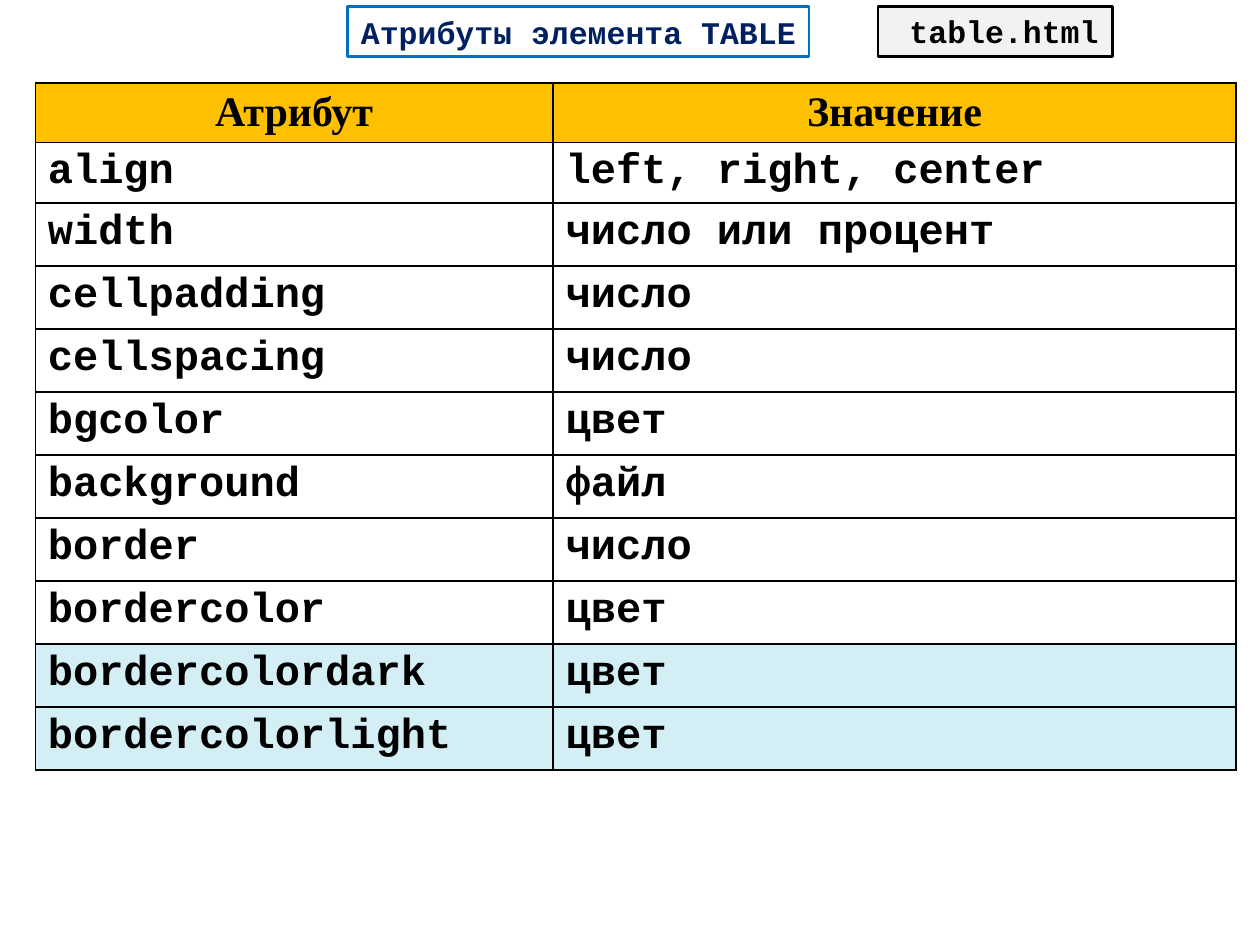
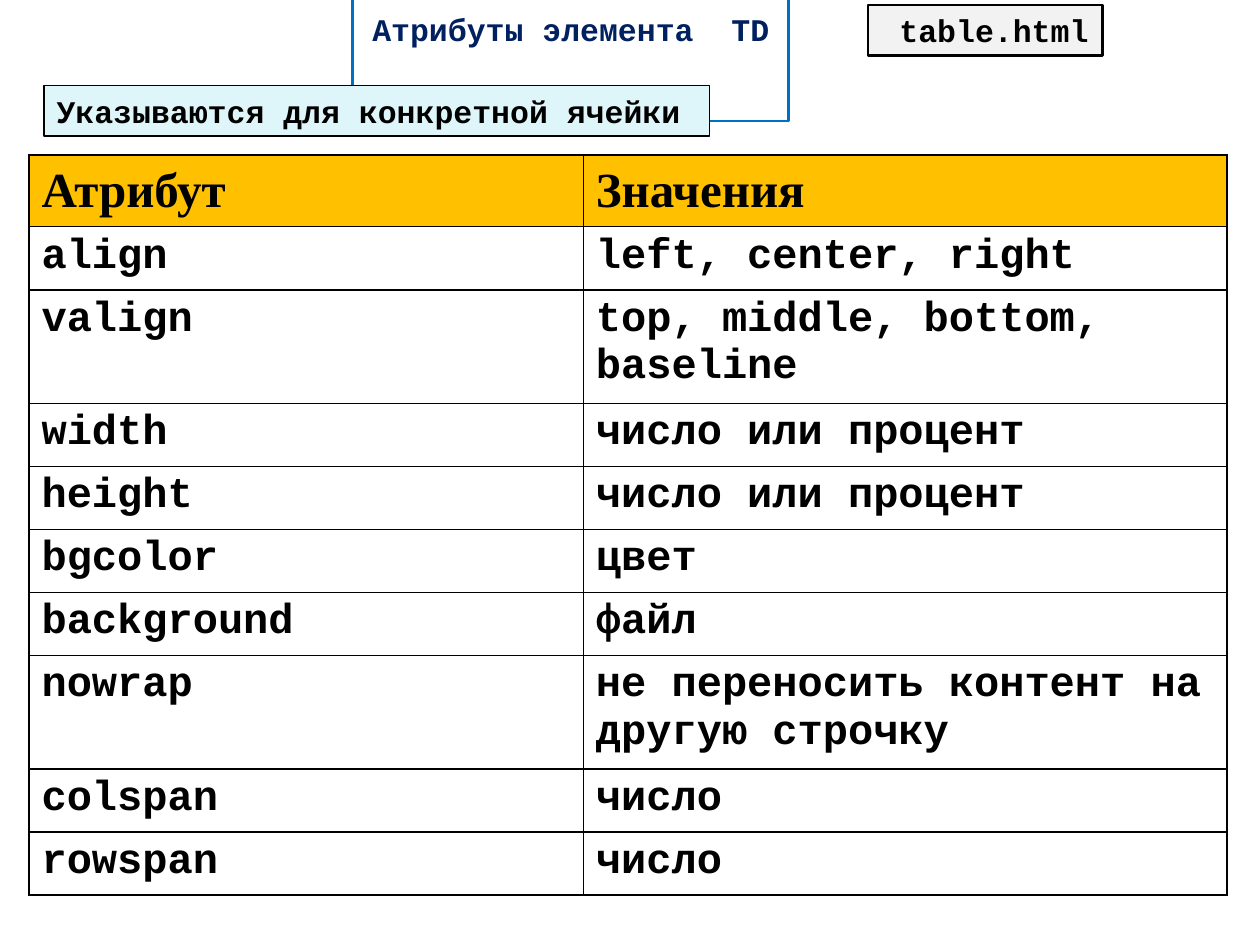
from lxml import etree
from pptx import Presentation
from pptx.dml.color import RGBColor
from pptx.enum import shapes, text
from pptx.oxml import ns
from pptx.util import Inches, Pt

BLACK = RGBColor(0x00, 0x00, 0x00)
WHITE = RGBColor(0xFF, 0xFF, 0xFF)
NAVY = RGBColor(0x00, 0x20, 0x60)
BLUE = RGBColor(0x00, 0x70, 0xC0)
GOLD = RGBColor(0xFF, 0xC0, 0x00)
GREY = RGBColor(0xF2, 0xF2, 0xF2)
ICE = RGBColor(0xD3, 0xEE, 0xF5)
PALE = RGBColor(0xDE, 0xF5, 0xFA)

CODE_FONT = "Courier New"
HEADER_FONT = "Times New Roman"
LABEL_HEIGHT = 0.4
TITLE_HEIGHT = 1.46
TITLE_ONLY = 5

TABLE_ATTRIBUTES = [
    ("align", "left, right, center"),
    ("width", "число или процент"),
    ("cellpadding", "число"),
    ("cellspacing", "число"),
    ("bgcolor", "цвет"),
    ("background", "файл"),
    ("border", "число"),
    ("bordercolor", "цвет"),
    ("bordercolordark", "цвет"),
    ("bordercolorlight", "цвет"),
]
CELL_ATTRIBUTES = [
    ("align", "left, center, right"),
    ("valign", "top, middle, bottom, baseline"),
    ("width", "число или процент"),
    ("height", "число или процент"),
    ("bgcolor", "цвет"),
    ("background", "файл"),
    ("nowrap", "не переносить контент на другую строчку"),
    ("colspan", "число"),
    ("rowspan", "число"),
]


def write(frame, content, size=18, font=CODE_FONT, color=BLACK,
          align=text.PP_ALIGN.LEFT):
    paragraph = frame.paragraphs[0]
    paragraph.alignment = align
    run = paragraph.add_run()
    run.text = content
    run.font.size = Pt(size)
    run.font.name = font
    run.font.bold = True
    run.font.color.rgb = color


def add_borders(cell):
    properties = cell._tc.get_or_add_tcPr()
    for index, side in enumerate(("lnL", "lnR", "lnT", "lnB")):
        line = etree.Element(ns.qn(f"a:{side}"), w=str(Pt(1)))
        fill = etree.SubElement(line, ns.qn("a:solidFill"))
        etree.SubElement(fill, ns.qn("a:srgbClr"), val=str(BLACK))
        properties.insert(index, line)


class Deck:
    def __init__(self):
        self.presentation = Presentation()
        self.presentation.slide_width = Inches(10)
        self.presentation.slide_height = Inches(7.5)
        self.layout = self.presentation.slide_layouts[TITLE_ONLY]
        self.slide = None

    def new_slide(self):
        self.slide = self.presentation.slides.add_slide(self.layout)

    def place(self, shape, left, top, width, height):
        shape.left, shape.top = Inches(left), Inches(top)
        shape.width, shape.height = Inches(width), Inches(height)

    def outline(self, shape, color, weight):
        shape.line.color.rgb = color
        shape.line.width = Pt(weight)

    def title(self, content, left, top, width, height=LABEL_HEIGHT):
        shape = self.slide.shapes.title
        self.place(shape, left, top, width, height)
        self.outline(shape, BLUE, 1.5)
        frame = shape.text_frame
        frame.word_wrap = True
        frame.auto_size = text.MSO_AUTO_SIZE.NONE
        frame.vertical_anchor = text.MSO_ANCHOR.MIDDLE
        write(frame, content, color=NAVY, align=text.PP_ALIGN.CENTER)

    def label(self, content, left, top, width, fill, weight=1.5, wrap=False):
        shape = self.slide.shapes.add_shape(
            shapes.MSO_SHAPE.RECTANGLE, Inches(left), Inches(top),
            Inches(width), Inches(LABEL_HEIGHT))
        shape.shadow.inherit = False
        shape.fill.solid()
        shape.fill.fore_color.rgb = fill
        self.outline(shape, BLACK, weight)
        frame = shape.text_frame
        frame.word_wrap = wrap
        frame.auto_size = text.MSO_AUTO_SIZE.SHAPE_TO_FIT_TEXT
        frame.vertical_anchor = text.MSO_ANCHOR.TOP
        write(frame, content)

    def file_label(self, left, top):
        self.label(" table.html", left, top, 1.86, GREY)

    def table(self, header, rows, left, top, columns, heights,
              header_size=24, header_align=text.PP_ALIGN.LEFT, marked=()):
        table = self.slide.shapes.add_table(
            len(rows) + 1, len(columns), Inches(left), Inches(top),
            Inches(sum(columns)), Inches(sum(heights))).table
        for column, width in zip(table.columns, columns):
            column.width = Inches(width)
        for row, height in zip(table.rows, heights):
            row.height = Inches(height)
        for row_index, values in enumerate([header, *rows]):
            for column_index, value in enumerate(values):
                cell = table.cell(row_index, column_index)
                cell.fill.solid()
                if row_index == 0:
                    cell.fill.fore_color.rgb = GOLD
                    cell.vertical_anchor = text.MSO_ANCHOR.MIDDLE
                    write(cell.text_frame, value, size=header_size,
                          font=HEADER_FONT, align=header_align)
                else:
                    cell.fill.fore_color.rgb = ICE if values[0] in marked else WHITE
                    write(cell.text_frame, value, size=24)
                add_borders(cell)


def main():
    deck = Deck()

    # Attributes of the whole table
    deck.new_slide()
    deck.table(("Атрибут", "Значение"), TABLE_ATTRIBUTES, 0.28, 0.66,
               (4.11, 5.42), [0.47, 0.48] + [0.5] * 9,
               header_align=text.PP_ALIGN.CENTER,
               marked=("bordercolordark", "bordercolorlight"))
    deck.file_label(6.97, 0.05)
    deck.title("Атрибуты элемента TABLE", 2.76, 0.05, 3.66)

    # Attributes of a single cell
    deck.new_slide()
    deck.title("Атрибуты элемента  TD", 2.8, -0.5, 3.46, TITLE_HEIGHT)
    deck.file_label(6.89, 0.04)
    heights = [0.9 if name in ("valign", "nowrap") else 0.5
               for name, _ in CELL_ATTRIBUTES]
    deck.table(("Атрибут", "Значения"), CELL_ATTRIBUTES, 0.23, 1.23,
               (4.4, 5.11), [0.57] + heights, header_size=28)
    deck.label("Указываются для конкретной ячейки", 0.35, 0.68, 5.28, PALE,
               weight=0.75, wrap=True)

    deck.presentation.save("out.pptx")


if __name__ == "__main__":
    main()
